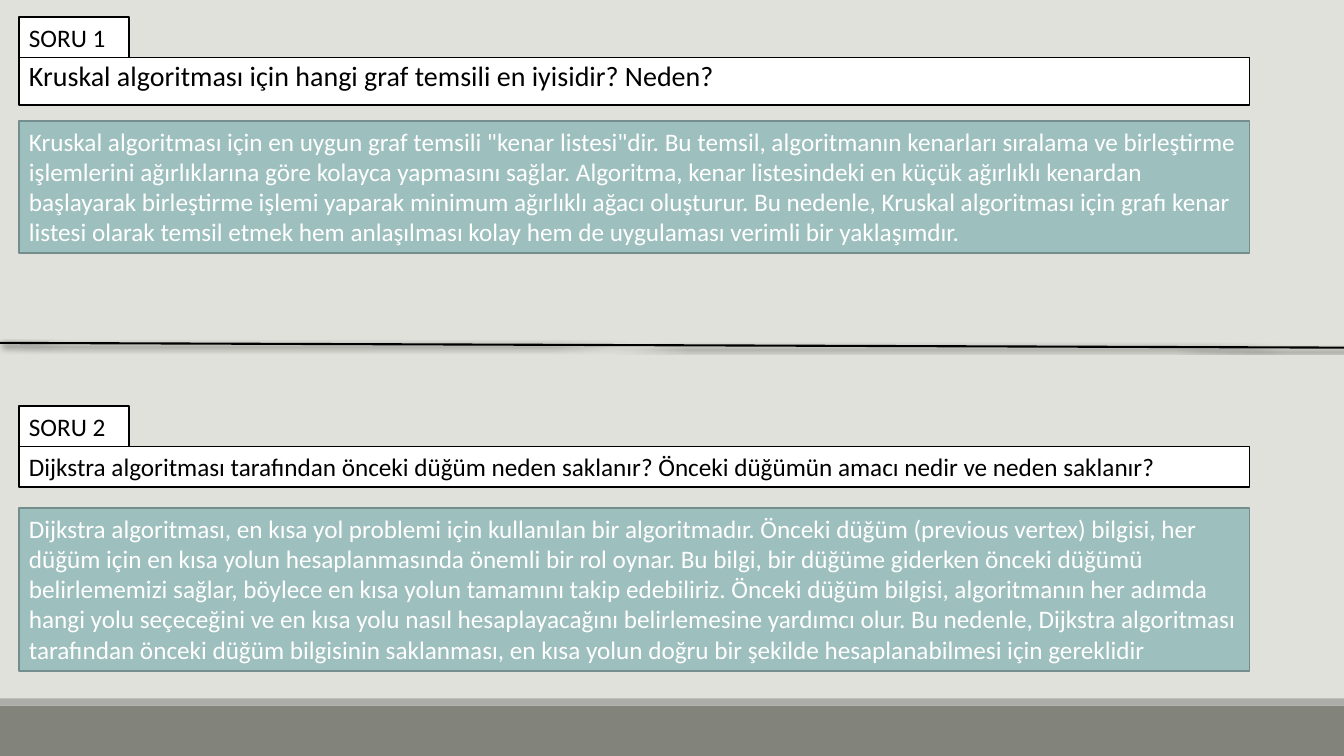
from dataclasses import dataclass

from lxml.etree import SubElement
from pptx import Presentation
from pptx.dml.color import RGBColor
from pptx.enum.shapes import MSO_CONNECTOR, MSO_SHAPE
from pptx.enum.text import MSO_ANCHOR, PP_ALIGN
from pptx.oxml.ns import qn
from pptx.shapes.autoshape import Shape
from pptx.slide import Slide
from pptx.util import Cm, Pt

BACKGROUND = RGBColor(0xE1, 0xE1, 0xDB)
FOOTER = RGBColor(0x82, 0x84, 0x7C)
FOOTER_EDGE = RGBColor(0xAC, 0xAD, 0xA8)
TEAL = RGBColor(0x9D, 0xBF, 0xBE)
TEAL_EDGE = RGBColor(0x74, 0x8D, 0x8D)
WHITE = RGBColor(0xFF, 0xFF, 0xFF)
BLACK = RGBColor(0x00, 0x00, 0x00)

SLIDE_WIDTH, SLIDE_HEIGHT = 33.87, 19.05
MARGIN = 0.48
BOX_WIDTH = 31.01
LABEL_WIDTH, LABEL_HEIGHT = 2.77, 1.02


@dataclass(frozen=True)
class Exercise:
    """One question with its answer, with tops and heights in centimetres."""

    label: str
    question: str
    answer: str
    question_top: float
    question_height: float
    answer_top: float
    answer_height: float
    question_size: int = 18
    question_spacing: float = 1.0


EXERCISES = (
    Exercise(
        "SORU 1",
        "Kruskal algoritması için hangi graf temsili en iyisidir? Neden?",
        'Kruskal algoritması için en uygun graf temsili "kenar listesi"dir. '
        "Bu temsil, algoritmanın kenarları sıralama ve birleştirme işlemlerini "
        "ağırlıklarına göre kolayca yapmasını sağlar. Algoritma, kenar "
        "listesindeki en küçük ağırlıklı kenardan başlayarak birleştirme işlemi "
        "yaparak minimum ağırlıklı ağacı oluşturur. Bu nedenle, Kruskal "
        "algoritması için grafı kenar listesi olarak temsil etmek hem "
        "anlaşılması kolay hem de uygulaması verimli bir yaklaşımdır.",
        1.45, 1.19, 3.05, 3.33, question_size=20, question_spacing=0.9,
    ),
    Exercise(
        "SORU 2",
        "Dijkstra algoritması tarafından önceki düğüm neden saklanır? "
        "Önceki düğümün amacı nedir ve neden saklanır?",
        "Dijkstra algoritması, en kısa yol problemi için kullanılan bir "
        "algoritmadır. Önceki düğüm (previous vertex) bilgisi, her düğüm için "
        "en kısa yolun hesaplanmasında önemli bir rol oynar. Bu bilgi, bir "
        "düğüme giderken önceki düğümü belirlememizi sağlar, böylece en kısa "
        "yolun tamamını takip edebiliriz. Önceki düğüm bilgisi, algoritmanın "
        "her adımda hangi yolu seçeceğini ve en kısa yolu nasıl "
        "hesaplayacağını belirlemesine yardımcı olur. Bu nedenle, Dijkstra "
        "algoritması tarafından önceki düğüm bilgisinin saklanması, en kısa "
        "yolun doğru bir şekilde hesaplanabilmesi için gereklidir",
        11.25, 1.02, 12.8, 4.11,
    ),
)


def add_box(slide: Slide, left: float, top: float, width: float, height: float,
            fill: RGBColor, edge: RGBColor | None = None) -> Shape:
    """Draw a flat rectangle, outlined when an edge colour is given."""
    box = slide.shapes.add_shape(
        MSO_SHAPE.RECTANGLE, Cm(left), Cm(top), Cm(width), Cm(height))
    box.shadow.inherit = False
    box.fill.solid()
    box.fill.fore_color.rgb = fill
    if edge is None:
        box.line.fill.background()
    else:
        box.line.color.rgb = edge
        box.line.width = Pt(1.25)
    return box


def write(box: Shape, text: str, *, size: int = 18, color: RGBColor = BLACK,
          spacing: float = 1.0) -> None:
    """Write left-aligned text from the top of a box."""
    frame = box.text_frame
    frame.word_wrap = True
    frame.vertical_anchor = MSO_ANCHOR.TOP
    paragraph = frame.paragraphs[0]
    paragraph.alignment = PP_ALIGN.LEFT
    paragraph.line_spacing = spacing
    run = paragraph.add_run()
    run.text = text
    run.font.name = "Calibri"
    run.font.size = Pt(size)
    run.font.color.rgb = color


def add_exercise(slide: Slide, exercise: Exercise) -> None:
    """Draw the label, question and answer of one exercise."""
    question = add_box(slide, MARGIN, exercise.question_top, BOX_WIDTH,
                       exercise.question_height, WHITE, BLACK)
    write(question, exercise.question, size=exercise.question_size,
          spacing=exercise.question_spacing)
    answer = add_box(slide, MARGIN, exercise.answer_top, BOX_WIDTH,
                     exercise.answer_height, TEAL, TEAL_EDGE)
    write(answer, exercise.answer, color=WHITE)
    label = add_box(slide, MARGIN, exercise.question_top - LABEL_HEIGHT,
                    LABEL_WIDTH, LABEL_HEIGHT, WHITE, BLACK)
    write(label, exercise.label)


def add_divider(slide: Slide) -> None:
    """Draw the slightly sloping, shadowed line between the exercises."""
    divider = slide.shapes.add_connector(
        MSO_CONNECTOR.STRAIGHT, Cm(0), Cm(8.64), Cm(SLIDE_WIDTH), Cm(8.76))
    divider.line.color.rgb = BLACK
    divider.line.width = Pt(1.5)
    effects = SubElement(divider._element.spPr, qn("a:effectLst"))
    shadow = SubElement(effects, qn("a:outerShdw"), blurRad=str(Pt(3)),
                        dist=str(Pt(2)), dir=str(45 * 60000), rotWithShape="0")
    shade = SubElement(shadow, qn("a:srgbClr"), val=str(BLACK))
    SubElement(shade, qn("a:alpha"), val="60000")


def main() -> None:
    """Build and save the slide."""
    presentation = Presentation()
    presentation.slide_width = Cm(SLIDE_WIDTH)
    presentation.slide_height = Cm(SLIDE_HEIGHT)
    slide = presentation.slides.add_slide(presentation.slide_layouts[6])
    slide.background.fill.solid()
    slide.background.fill.fore_color.rgb = BACKGROUND

    add_box(slide, 0, 17.78, SLIDE_WIDTH, 1.27, FOOTER)
    add_box(slide, 0, 17.6, SLIDE_WIDTH, 0.18, FOOTER_EDGE)
    for exercise in EXERCISES:
        add_exercise(slide, exercise)
    add_divider(slide)
    presentation.save("out.pptx")


if __name__ == "__main__":
    main()
